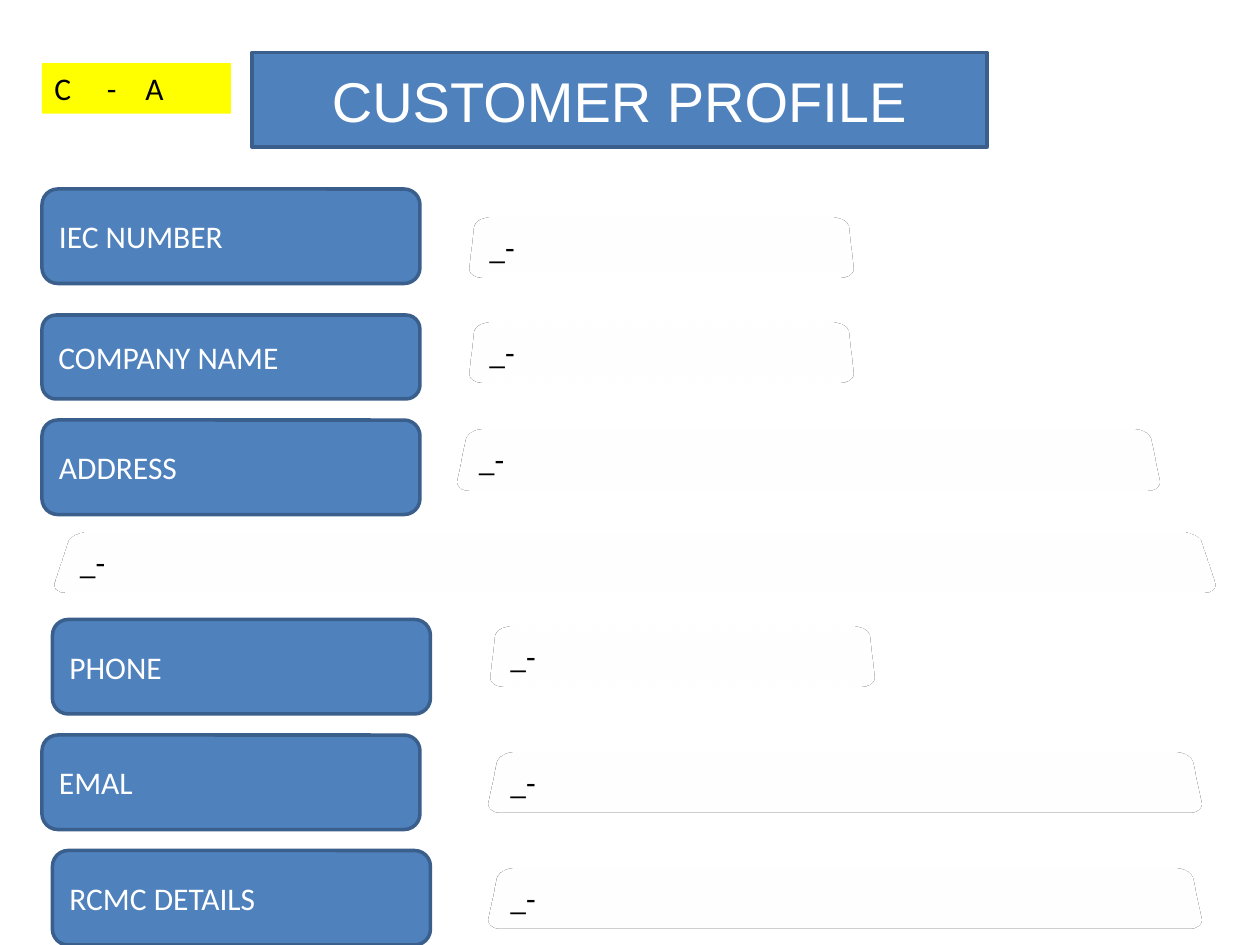
from dataclasses import dataclass
from typing import Optional

from lxml import etree
from pptx import Presentation
from pptx import util as u
from pptx.dml.color import RGBColor
from pptx.enum import shapes as es, text as et
from pptx.oxml import ns, parse_xml

BLUE, EDGE, NAVY = "4F81BD", "3A5F8C", "1F497D"
WHITE, BLACK, GOLD = "FFFFFF", "000000", "FFFF00"


@dataclass
class Box:
    x: float
    y: float
    w: float
    h: float = 54


@dataclass
class Row:
    label: Optional[str]
    tag: Optional[Box]
    field: Box


ROWS = [
    Row("IEC NUMBER", Box(24, 108, 216), Box(270, 114, 216)),
    Row("COMPANY NAME", Box(24, 180, 216, 48), Box(270, 174, 216)),
    Row("ADDRESS", Box(24, 240, 216), Box(264, 235.5, 396)),
    Row(None, None, Box(36, 294, 654)),
    Row("PHONE", Box(30, 354, 216), Box(282, 348, 216)),
    Row("EMAL", Box(24, 420, 216), Box(282, 420, 402)),
    Row("RCMC DETAILS", Box(30, 486, 216), Box(282, 486, 402)),
]


def tint(obj, hue: str) -> None:
    """Give a fill or a font a solid colour."""
    if hasattr(obj, "solid"):
        obj.solid()
        obj.fore_color.rgb = RGBColor.from_string(hue)
    else:
        obj.color.rgb = RGBColor.from_string(hue)


def place(shape, box: Box) -> None:
    shape.left, shape.top = u.Pt(box.x), u.Pt(box.y)
    shape.width, shape.height = u.Pt(box.w), u.Pt(box.h)


def paint(shape, fill: str, edge: Optional[str]) -> None:
    tint(shape.fill, fill)
    if edge:
        tint(shape.line.fill, edge)
        shape.line.width = u.Pt(2)
    else:
        shape.line.fill.background()


def write(shape, words: str, hue: str, size: float = 18,
          face: str = "Calibri", align=et.PP_ALIGN.LEFT,
          anchor=et.MSO_ANCHOR.MIDDLE):
    frame = shape.text_frame
    frame.word_wrap = True
    frame.auto_size = et.MSO_AUTO_SIZE.NONE
    frame.vertical_anchor = anchor
    para = frame.paragraphs[0]
    para.alignment = align
    run = para.add_run()
    run.text = words
    run.font.size, run.font.name = u.Pt(size), face
    tint(run.font, hue)
    return para


def panel(slide, box: Box, words: str, fill: str, edge: str, hue: str):
    shape = slide.shapes.add_shape(
        es.MSO_SHAPE.ROUNDED_RECTANGLE, u.Pt(box.x), u.Pt(box.y),
        u.Pt(box.w), u.Pt(box.h))
    shape.shadow.inherit = False
    paint(shape, fill, edge)
    write(shape, words, hue)
    return shape


def tilt(shape) -> None:
    """Lean a shape back in perspective."""
    props = shape.element.spPr
    props.append(parse_xml(
        f'<a:scene3d {ns.nsdecls("a")}><a:camera prst="perspectiveRelaxed"/>'
        '<a:lightRig rig="threePt" dir="t"/></a:scene3d>'))
    etree.SubElement(props, ns.qn("a:sp3d"))


def head(slide) -> None:
    title = slide.shapes.title
    place(title, Box(144, 30, 420))
    title.element.spPr.append(parse_xml(
        f'<a:prstGeom {ns.nsdecls("a")} prst="roundRect"><a:avLst/></a:prstGeom>'))
    paint(title, BLUE, EDGE)
    write(title, "CUSTOMER PROFILE", WHITE, 32, "Arial", et.PP_ALIGN.CENTER)


def code(slide) -> None:
    """Yellow code box, its letters set apart by tab stops."""
    box = slide.shapes.add_textbox(0, 0, 0, 0)
    place(box, Box(24, 36, 108, 29))
    paint(box, GOLD, None)
    para = write(box, "C\t-\tA", BLACK, anchor=et.MSO_ANCHOR.TOP)
    stops = etree.SubElement(para._p.get_or_add_pPr(), ns.qn("a:tabLst"))
    for pos in (30, 52):
        etree.SubElement(stops, ns.qn("a:tab"), pos=str(u.Pt(pos)), algn="l")


def main() -> None:
    deck = Presentation()
    deck.slide_width, deck.slide_height = u.Pt(720), u.Pt(540)
    slide = deck.slides.add_slide(deck.slide_layouts[5])
    head(slide)
    # Labels with their entry fields
    for row in ROWS:
        if row.tag:
            panel(slide, row.tag, row.label, BLUE, EDGE, WHITE)
        tilt(panel(slide, row.field, "_-", WHITE, NAVY, BLACK))
    code(slide)
    deck.save("out.pptx")


if __name__ == "__main__":
    main()
